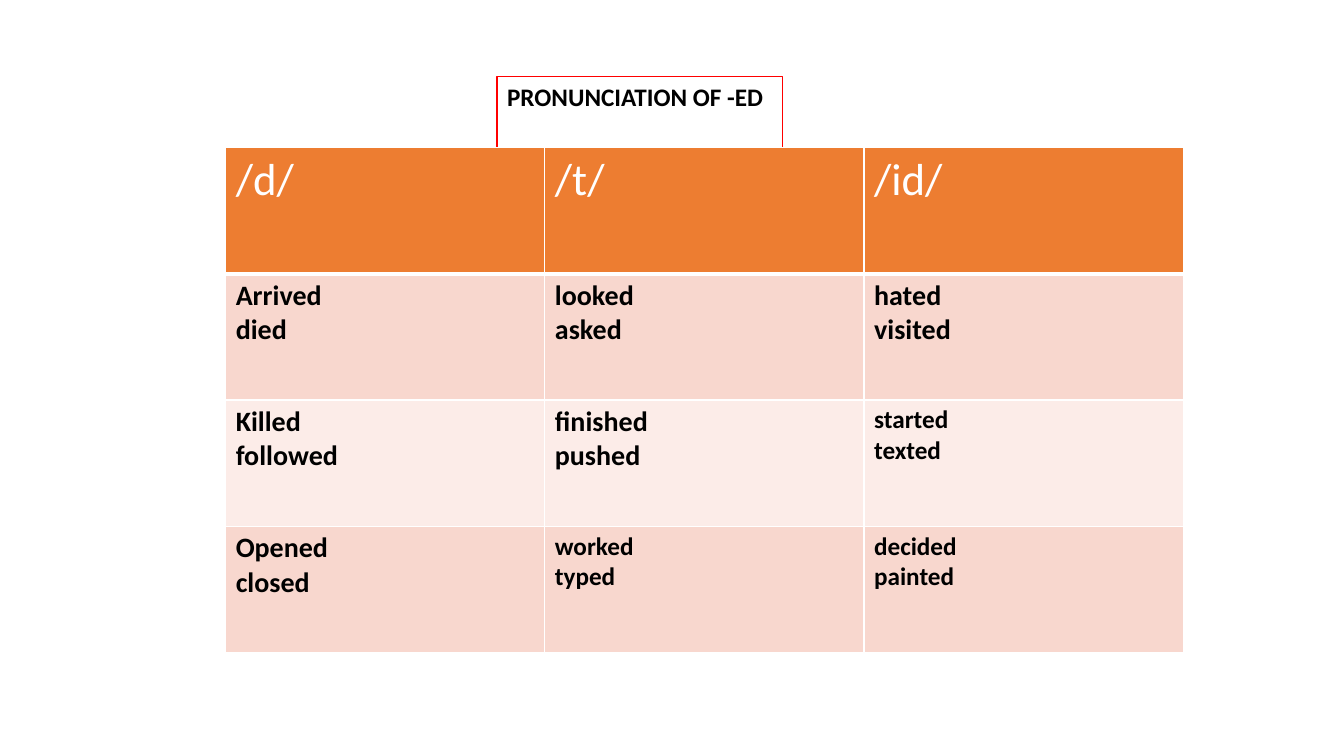
from dataclasses import dataclass

from lxml.etree import SubElement
from pptx import Presentation
from pptx.dml.color import RGBColor
from pptx.enum.text import MSO_ANCHOR, MSO_AUTO_SIZE, PP_ALIGN
from pptx.oxml.ns import qn
from pptx.util import Pt


@dataclass(frozen=True)
class Theme:
    font: str = "Calibri"
    white: str = "FFFFFF"
    black: str = "000000"
    frame: str = "FF0000"
    header: str = "ED7D31"
    bands: tuple = ("F8D7CE", "FCECE8")
    header_size: int = 32
    word_size: int = 20
    small_size: int = 18


THEME = Theme()
SOUNDS = ["/d/", "/t/", "/id/"]
VERBS = [
    [("Arrived", "died"), ("looked", "asked"), ("hated", "visited")],
    [("Killed", "followed"), ("finished", "pushed"), ("started", "texted")],
    [("Opened", "closed"), ("worked", "typed"), ("decided", "painted")],
]


def write_lines(tf, lines, size, color, bold):
    for i, line in enumerate(lines):
        p = tf.paragraphs[0] if i == 0 else tf.add_paragraph()
        p.alignment = PP_ALIGN.LEFT
        r = p.add_run()
        r.text = line
        r.font.name = THEME.font
        r.font.size = Pt(size)
        r.font.bold = bold
        r.font.color.rgb = RGBColor.from_string(color)


def set_borders(cell, bottom):
    tc_pr = cell._tc.get_or_add_tcPr()
    for side, width in (("L", 1), ("R", 1), ("T", 1), ("B", bottom)):
        ln = SubElement(tc_pr, qn(f"a:ln{side}"), w=str(Pt(width)))
        fill = SubElement(ln, qn("a:solidFill"))
        SubElement(fill, qn("a:srgbClr"), val=THEME.white)


def style_cell(cell, lines, fill, size, color, bold, bottom=1):
    set_borders(cell, bottom)
    cell.fill.solid()
    cell.fill.fore_color.rgb = RGBColor.from_string(fill)
    write_lines(cell.text_frame, lines, size, color, bold)


def add_title(s, left, top, width, height):
    sp = s.shapes.title
    sp.left, sp.top, sp.width, sp.height = Pt(left), Pt(top), Pt(width), Pt(height)
    sp.line.color.rgb = RGBColor.from_string(THEME.frame)
    sp.line.width = Pt(0.75)
    tf = sp.text_frame
    tf.word_wrap = True
    tf.auto_size = MSO_AUTO_SIZE.SHAPE_TO_FIT_TEXT
    tf.vertical_anchor = MSO_ANCHOR.TOP
    write_lines(tf, ["PRONUNCIATION OF -ED"], THEME.small_size, THEME.black, True)


def add_verb_table(s, left, top, width, height):
    rows, cols = len(VERBS) + 1, len(SOUNDS)
    table = s.shapes.add_table(
        rows, cols, Pt(left), Pt(top), Pt(width), Pt(height)
    ).table
    for column in table.columns:
        column.width = Pt(width / cols)
    for row in table.rows:
        row.height = Pt(height / rows)
    for c, sound in enumerate(SOUNDS):
        style_cell(table.cell(0, c), [sound], THEME.header,
                   THEME.header_size, THEME.white, False, bottom=3)
    for r, verbs in enumerate(VERBS):
        for c, pair in enumerate(verbs):
            size = THEME.small_size if r + c >= cols else THEME.word_size
            style_cell(table.cell(r + 1, c), pair, THEME.bands[r % 2],
                       size, THEME.black, True)


def main():
    prs = Presentation()
    prs.slide_width, prs.slide_height = Pt(960), Pt(540)
    s = prs.slides.add_slide(prs.slide_layouts[5])
    add_title(s, 355, 54.6, 204, 29.1)
    add_verb_table(s, 161.2, 105.4, 684, 360.6)
    prs.save("out.pptx")


if __name__ == "__main__":
    main()
